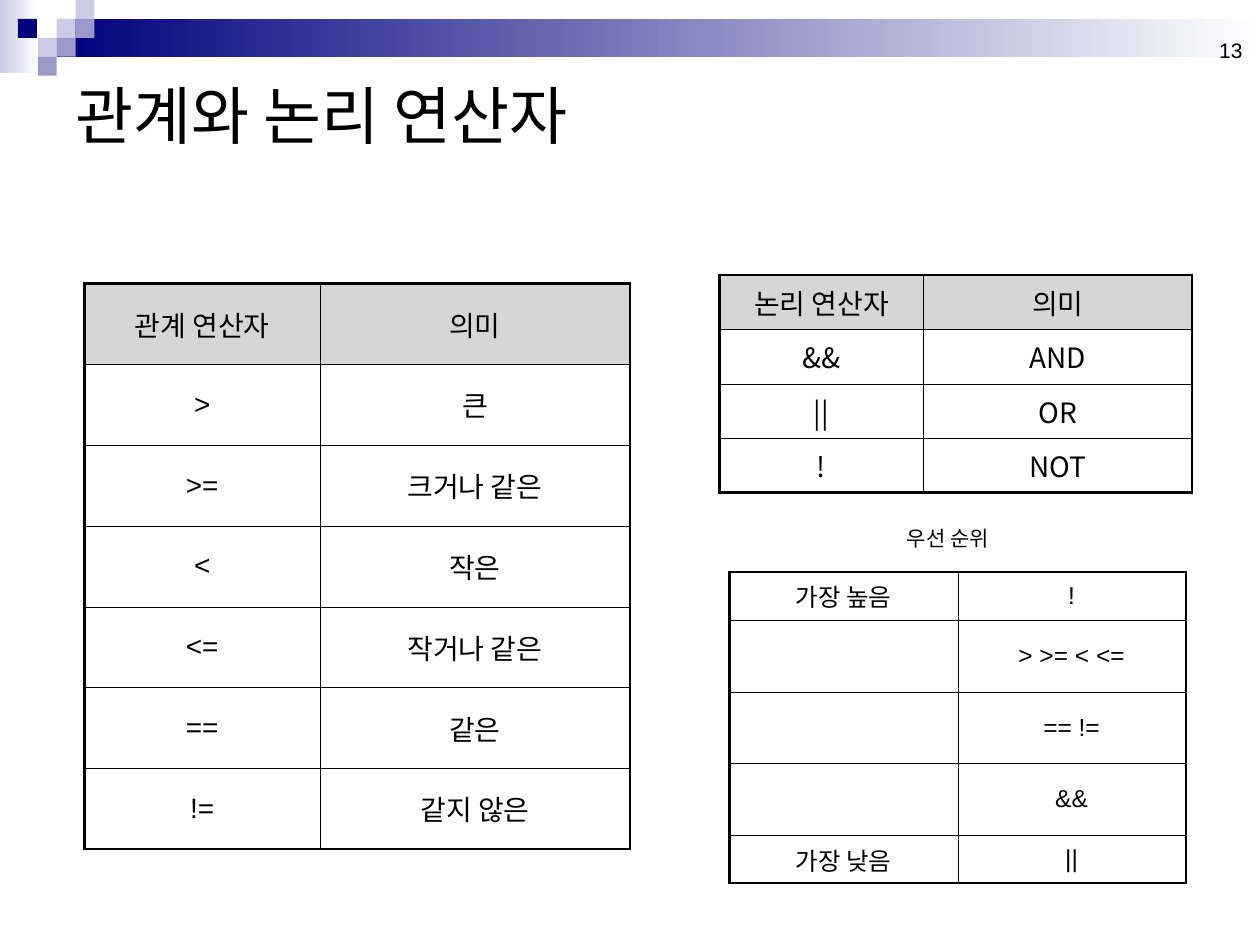
from lxml import etree
from pptx import Presentation
from pptx.dml.color import RGBColor
from pptx.enum.shapes import MSO_SHAPE
from pptx.enum.text import MSO_ANCHOR, MSO_AUTO_SIZE, PP_ALIGN
from pptx.oxml.ns import qn
from pptx.util import Inches, Pt

RECT = MSO_SHAPE.RECTANGLE
MIDDLE, BOTTOM, TOP = MSO_ANCHOR.MIDDLE, MSO_ANCHOR.BOTTOM, MSO_ANCHOR.TOP
LEFT, CENTER, RIGHT = PP_ALIGN.LEFT, PP_ALIGN.CENTER, PP_ALIGN.RIGHT
FIT_SHAPE, FIT_NONE = MSO_AUTO_SIZE.SHAPE_TO_FIT_TEXT, MSO_AUTO_SIZE.NONE
NAVY = RGBColor(0x00, 0x00, 0x7D)
LILAC = RGBColor(0x99, 0x99, 0xCC)
PALE = RGBColor(0xCC, 0xCC, 0xE6)
GREY = RGBColor(0xD6, 0xD6, 0xD6)
WHITE = RGBColor(0xFF, 0xFF, 0xFF)
BLACK = RGBColor(0x00, 0x00, 0x00)
LATIN, KOREAN = "Arial", "Noto Sans CJK KR"
OUTER, INNER = 1.47, 0.06
STEP = 0.15

prs = Presentation()
prs.slide_width, prs.slide_height = Inches(10), Inches(7.5)
s = prs.slides.add_slide(prs.slide_layouts[6])


def write(tf, text, size, font, align):
    """Put one formatted line of text into a text frame."""
    p = tf.paragraphs[0]
    p.alignment = align
    r = p.add_run()
    r.text = text
    for name, value in {"size": Pt(size), "name": font}.items():
        setattr(r.font, name, value)
    r.font.color.rgb = BLACK
    etree.SubElement(r.font._element, qn("a:ea"), typeface=KOREAN)


def add_border(cell, widths):
    """Draw the sides of a cell; widths maps a side to points."""
    tc_pr = cell._tc.get_or_add_tcPr()
    for side, width in widths.items():
        ln = etree.SubElement(tc_pr, qn("a:ln" + side), w=str(int(Pt(width))))
        fill = etree.SubElement(ln, qn("a:solidFill"))
        etree.SubElement(fill, qn("a:srgbClr"), val=str(BLACK))


# Header band: two gradients, then squares on a grid of STEP
header = [
    (0, 0, 0.31, 0.58, (PALE, WHITE)),
    (0.45, STEP, 9.55, 0.3, (NAVY, WHITE)),
]
squares = [(3, 1, PALE), (4, 0, PALE), (4, 1, LILAC), (2, 2, PALE),
           (0.95, 1, NAVY), (3, 2, LILAC), (2, 3, LILAC)]
header += [(col * STEP, row * STEP, STEP, STEP, (color,))
           for col, row, color in squares]
for x, y, w, h, colors in header:
    sp = s.shapes.add_shape(RECT, Inches(x), Inches(y), Inches(w), Inches(h))
    sp.shadow.inherit = False
    sp.line.fill.background()
    if len(colors) == 1:
        sp.fill.solid()
        sp.fill.fore_color.rgb = colors[0]
    else:
        sp.fill.gradient()
        sp.fill.gradient_angle = 0
        for stop, color in zip(sp.fill.gradient_stops, colors):
            stop.color.rgb = color

# Page number, title and caption
labels = [
    ("13", (7.63, 0.05, 2.33, 0.5), 12, LATIN, RIGHT,
     {"vertical_anchor": BOTTOM, "word_wrap": True, "auto_size": FIT_NONE}),
    ("관계와 논리 연산자", (0.5, 0.5, 9, 0.81), 36, KOREAN, LEFT,
     {"vertical_anchor": MIDDLE, "word_wrap": True, "auto_size": FIT_NONE}),
    ("우선 순위", (7.1, 4.12, 0.86, 0.3), 12, KOREAN, LEFT,
     {"vertical_anchor": TOP, "word_wrap": False, "auto_size": FIT_SHAPE}),
]
for text, box, size, font, align, frame in labels:
    tf = s.shapes.add_textbox(*[Inches(v) for v in box]).text_frame
    for name, value in frame.items():
        setattr(tf, name, value)
    write(tf, text, size, font, align)

# Tables: left, top, column widths, row heights, size, font, header row, rows
relational = [("관계 연산자", "의미"), (">", "큰"), (">=", "크거나 같은"),
              ("<", "작은"), ("<=", "작거나 같은"), ("==", "같은"),
              ("!=", "같지 않은")]
logical = [("논리 연산자", "의미"), ("&&", "AND"), ("||", "OR"), ("!", "NOT")]
precedence = [("가장 높음", "!"), ("", "> >= < <="), ("", "== !="),
              ("", "&&"), ("가장 낮음", "||")]
tables = [
    (0.67, 2.25, (1.87, 2.46), [4.49 / 7] * 7, 16, LATIN, True, relational),
    (5.71, 2.18, (1.62, 2.13), [1.73 / 4] * 4, 16, KOREAN, True, logical),
    (5.79, 4.54, (1.81, 1.81), [0.38, 0.57, 0.57, 0.57, 0.38], 14, LATIN,
     False, precedence),
]
for x, y, widths, heights, size, font, has_header, rows in tables:
    table = s.shapes.add_table(
        len(rows), len(widths), Inches(x), Inches(y),
        Inches(sum(widths)), Inches(sum(heights))).table
    table.first_row = table.horz_banding = False
    for column, width in zip(table.columns, widths):
        column.width = Inches(width)
    for i, (height, texts) in enumerate(zip(heights, rows)):
        table.rows[i].height = Inches(height)
        for j, text in enumerate(texts):
            cell = table.cell(i, j)
            cell.vertical_anchor = MIDDLE
            edges = {"L": j == 0, "R": j == len(widths) - 1,
                     "T": i == 0, "B": i == len(rows) - 1}
            add_border(cell, {side: OUTER if edge else INNER
                              for side, edge in edges.items()})
            if has_header and i == 0:
                cell.fill.solid()
                cell.fill.fore_color.rgb = GREY
            else:
                cell.fill.background()
            if text:
                write(cell.text_frame, text, size, font, CENTER)

prs.save("out.pptx")
